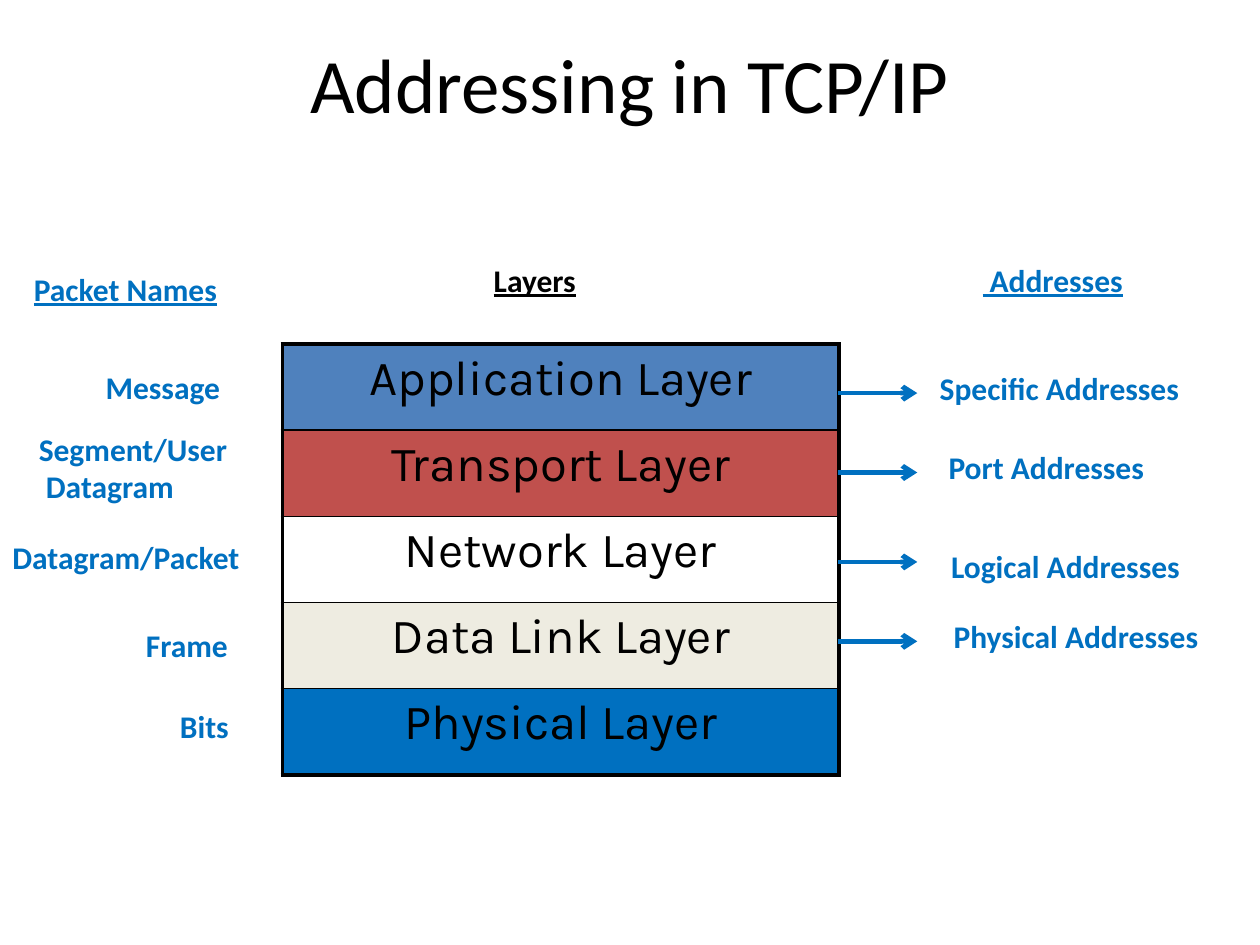
from lxml.etree import SubElement
from pptx import Presentation
from pptx.dml.color import RGBColor
from pptx.enum.shapes import MSO_CONNECTOR
from pptx.enum.text import MSO_ANCHOR, MSO_AUTO_SIZE, PP_ALIGN
from pptx.oxml import parse_xml
from pptx.oxml.ns import nsdecls, qn
from pptx.util import Inches, Pt

BLACK = RGBColor(0x00, 0x00, 0x00)
BLUE = RGBColor(0x00, 0x70, 0xC0)
STEEL = RGBColor(0x4F, 0x81, 0xBD)
RED = RGBColor(0xC0, 0x50, 0x4D)
WHITE = RGBColor(0xFF, 0xFF, 0xFF)
CREAM = RGBColor(0xEE, 0xEC, 0xE1)

deck = Presentation()
deck.slide_width = Inches(10)
deck.slide_height = Inches(7.5)
column = deck.slide_width / 100
row = deck.slide_height / 75
page = deck.slides.add_slide(deck.slide_layouts[5])


def place(left, top, width, height):
    return [int(left * column), int(top * row), int(width * column), int(height * row)]


def style(para, name, size, color, bold=False, underline=False):
    para.font.name = name
    para.font.size = Pt(size)
    para.font.color.rgb = color
    para.font.bold = bold
    para.font.underline = underline


title = page.shapes.title
title.left, title.top, title.width, title.height = place(5, 1.7, 90, 9.8)
title.text_frame.text = "Addressing in TCP/IP"
title.text_frame.vertical_anchor = MSO_ANCHOR.MIDDLE
title.text_frame.paragraphs[0].alignment = PP_ALIGN.CENTER
style(title.text_frame.paragraphs[0], "Calibri", 44, BLACK)

layers = [
    ("Application Layer", STEEL),
    ("Transport Layer", RED),
    ("Network Layer", WHITE),
    ("Data Link Layer", CREAM),
    ("Physical Layer", BLUE),
]
frame = page.shapes.add_table(len(layers), 1, *place(22.4, 27.3, 44.2, 34.2))
stack = frame.table
stack.first_row = False
stack.horz_banding = False
for index, (name, fill) in enumerate(layers):
    cell = stack.cell(index, 0)
    cell.text = name
    cell.text_frame.paragraphs[0].alignment = PP_ALIGN.CENTER
    style(cell.text_frame.paragraphs[0], "Karla", 28, BLACK)
    top_weight = 2.25 if index == 0 else 1
    bottom_weight = 2.25 if index == len(layers) - 1 else 1
    properties = cell._tc.get_or_add_tcPr()
    for side, weight in zip("LRTB", (2.25, 2.25, top_weight, bottom_weight)):
        properties.append(parse_xml(
            f'<a:ln{side} {nsdecls("a")} w="{Pt(weight)}"><a:solidFill>'
            f'<a:srgbClr val="{BLACK}"/></a:solidFill></a:ln{side}>'
        ))
    cell.fill.solid()
    cell.fill.fore_color.rgb = fill

labels = [
    ("Packet Names", 1.7, 20.9, 19.1, 4, BLUE, True),
    ("Layers", 38.2, 20.2, 10.2, 4, BLACK, True),
    (" Addresses", 77, 20.2, 15.5, 4, BLUE, True),
    ("Message", 7.4, 28.7, 12.7, 4, BLUE, False),
    ("Segment/User\n Datagram", 2.1, 33.6, 19, 7.1, BLUE, False),
    ("Datagram/Packet", 0, 42.2, 22.5, 4, BLUE, False),
    ("Frame", 10.6, 49.2, 9.6, 4, BLUE, False),
    ("Bits", 13.3, 55.6, 6.8, 4, BLUE, False),
    ("Specific Addresses", 73.6, 28.8, 25.2, 4, BLUE, False),
    ("Port Addresses", 74.3, 35.1, 20.6, 4, BLUE, False),
    ("Logical Addresses", 74.5, 42.9, 24.4, 4, BLUE, False),
    ("Physical Addresses", 74.7, 48.5, 26.5, 4, BLUE, False),
]
for text, left, top, width, height, color, underline in labels:
    box = page.shapes.add_textbox(*place(left, top, width, height))
    box.text_frame.word_wrap = False
    box.text_frame.auto_size = MSO_AUTO_SIZE.SHAPE_TO_FIT_TEXT
    box.text_frame.text = text
    for para in box.text_frame.paragraphs:
        style(para, "Calibri", 18, color, True, underline)

for level in (31.2, 37.5, 44.6, 50.9):
    start_x, start_y, length, rise = place(66.5, level, 6.3, 0)
    arrow = page.shapes.add_connector(
        MSO_CONNECTOR.STRAIGHT, start_x, start_y, start_x + length, start_y + rise
    )
    arrow.line.color.rgb = BLUE
    arrow.line.width = Pt(2.75)
    SubElement(arrow.line._get_or_add_ln(), qn("a:tailEnd"), type="arrow")
    SubElement(arrow._element.spPr, qn("a:effectLst"))

deck.save("out.pptx")
